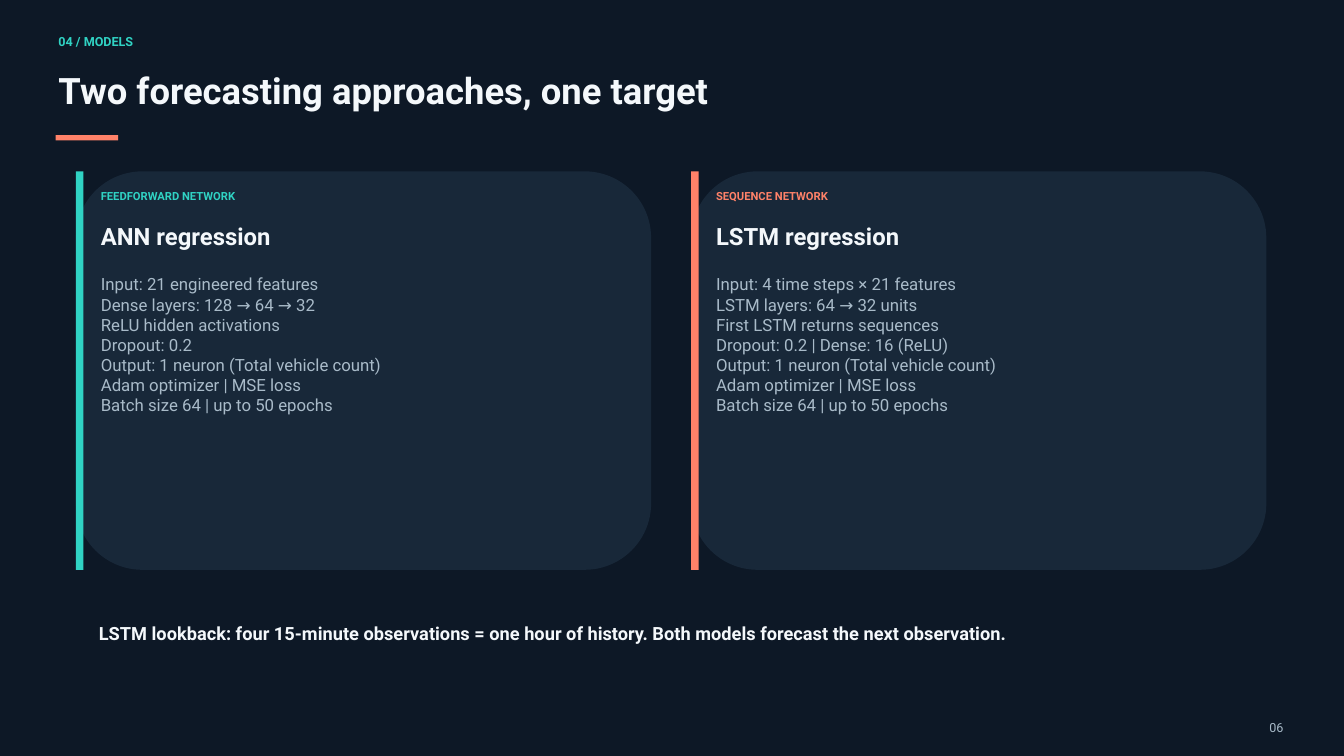
from pptx import Presentation
from pptx.dml.color import RGBColor
from pptx.enum.shapes import MSO_SHAPE as SHAPE
from pptx.enum.text import MSO_AUTO_SIZE as AUTO_SIZE, PP_ALIGN as ALIGN
from pptx.util import Inches, Pt

COLORS = {
    "background": "0D1826",
    "card": "182839",
    "teal": "30D3C4",
    "coral": "FF8269",
    "white": "F4F8FB",
    "muted": "A9BBC9",
}
FONT = "Roboto"
LINE_SPACING = 1.2

CARD_LEFT, CARD_TOP, CARD_PITCH = 1.13, 2.55, 9.155
CARD_WIDTH, CARD_HEIGHT = 8.56, 5.93
CARD_INDENT, CARD_TEXT_WIDTH = 0.37, 7.85

MODELS = [
    ("teal", "FEEDFORWARD NETWORK", "ANN regression", [
        "Input: 21 engineered features",
        "Dense layers: 128 → 64 → 32",
        "ReLU hidden activations",
        "Dropout: 0.2",
    ]),
    ("coral", "SEQUENCE NETWORK", "LSTM regression", [
        "Input: 4 time steps × 21 features",
        "LSTM layers: 64 → 32 units",
        "First LSTM returns sequences",
        "Dropout: 0.2 | Dense: 16 (ReLU)",
    ]),
]
SHARED_SETTINGS = [
    "Output: 1 neuron (Total vehicle count)",
    "Adam optimizer | MSE loss",
    "Batch size 64 | up to 50 epochs",
]


def rgb(name):
    return RGBColor.from_string(COLORS[name])


class SlideBuilder:
    def __init__(self, slide):
        self.slide = slide
        fill = slide.background.fill
        fill.solid()
        fill.fore_color.rgb = rgb("background")

    def block(self, left, top, width, height, color, kind=SHAPE.RECTANGLE):
        sp = self.slide.shapes.add_shape(
            kind, Inches(left), Inches(top), Inches(width), Inches(height))
        sp.shadow.inherit = False
        sp.fill.solid()
        sp.fill.fore_color.rgb = rgb(color)
        sp.line.fill.background()

    def text(self, text, left, top, width, height, size, color,
             bold=False, align=ALIGN.LEFT):
        box = self.slide.shapes.add_textbox(
            Inches(left), Inches(top), Inches(width), Inches(height))
        tf = box.text_frame
        tf.word_wrap = True
        tf.auto_size = AUTO_SIZE.SHAPE_TO_FIT_TEXT
        tf.margin_left = tf.margin_right = tf.margin_top = tf.margin_bottom = 0
        tf.text = text
        for p in tf.paragraphs:
            p.alignment = align
            p.line_spacing = Pt(size * LINE_SPACING)
            for r in p.runs:
                r.font.name = FONT
                r.font.size = Pt(size)
                r.font.bold = bold
                r.font.color.rgb = rgb(color)

    def model_card(self, left, accent, label, title, lines):
        self.block(left, CARD_TOP, CARD_WIDTH, CARD_HEIGHT, "card",
                   SHAPE.ROUNDED_RECTANGLE)
        self.block(left, CARD_TOP, 0.11, CARD_HEIGHT, accent)
        x, width = left + CARD_INDENT, CARD_TEXT_WIDTH
        self.text(label, x, 2.82, width, 0.28, 12, accent, bold=True)
        self.text(title, x, 3.3, width, 0.58, 25.5, "white", bold=True)
        self.text("\n".join(lines), x, 4.08, width, 4.2, 18, "muted")


def main():
    prs = Presentation()
    prs.slide_width, prs.slide_height = Inches(20), Inches(11.25)
    s = SlideBuilder(prs.slides.add_slide(prs.slide_layouts[6]))

    s.text("04 / MODELS", 0.87, 0.5, 5.92, 0.34, 13.5, "teal", bold=True)
    s.text("Two forecasting approaches, one target",
           0.87, 1.02, 18.08, 0.82, 39, "white", bold=True)
    s.block(0.83, 2.01, 0.93, 0.08, "coral")
    s.text("06", 18.35, 10.71, 0.75, 0.23, 13.5, "muted", align=ALIGN.RIGHT)

    for i, (accent, label, title, lines) in enumerate(MODELS):
        s.model_card(CARD_LEFT + i * CARD_PITCH, accent, label, title,
                     lines + SHARED_SETTINGS)

    s.text("LSTM lookback: four 15-minute observations = one hour of history. "
           "Both models forecast the next observation.",
           1.47, 9.26, 17.18, 0.78, 19.5, "white", bold=True)
    prs.save("out.pptx")


if __name__ == "__main__":
    main()
